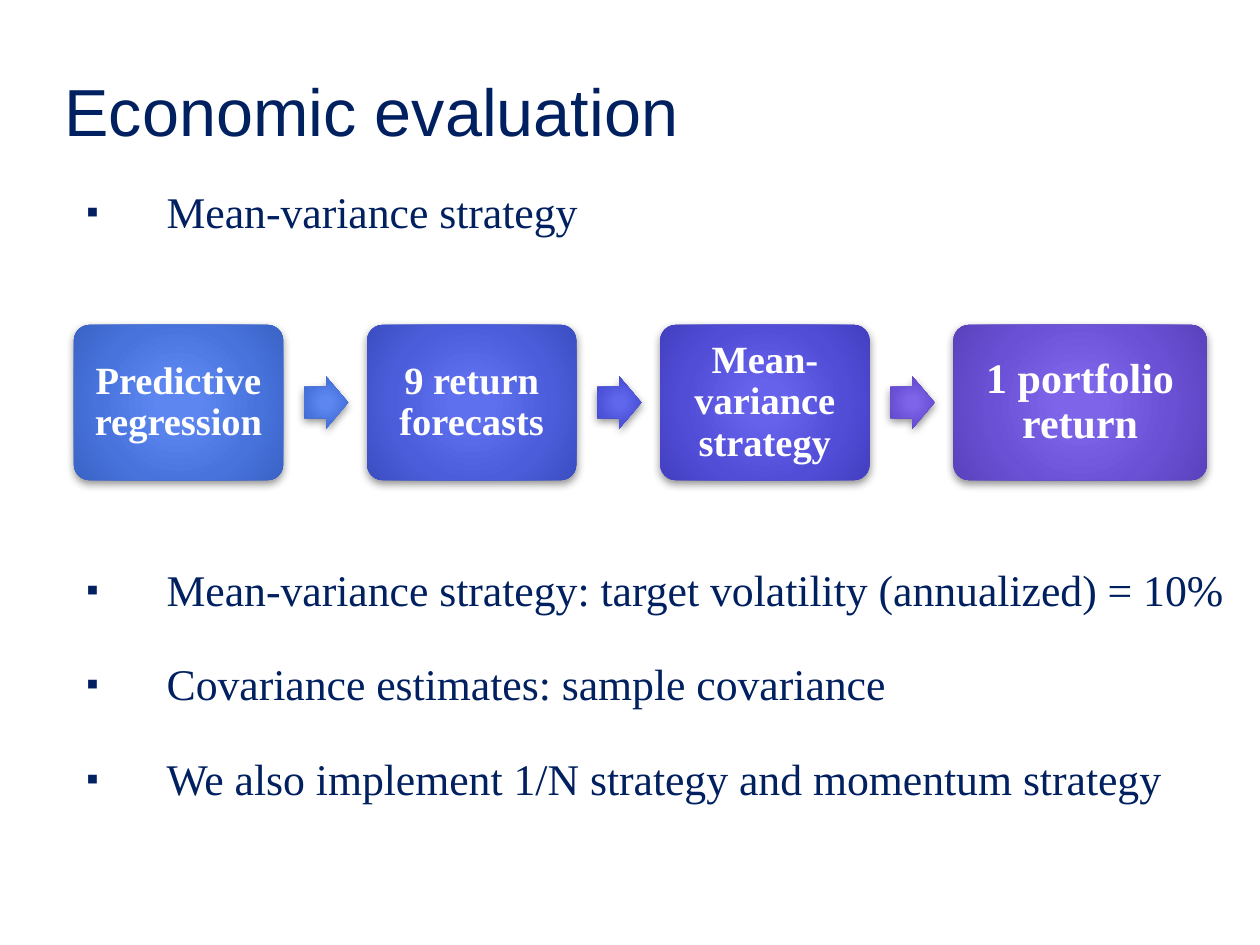
from pptx import Presentation
from pptx.dml.color import RGBColor
from pptx.enum.shapes import MSO_SHAPE as Preset
from pptx.enum.text import MSO_ANCHOR as Anchor, PP_ALIGN as Align
from pptx.oxml import parse_xml
from pptx.oxml.ns import nsdecls
from pptx.util import Cm, Pt

NAVY = "002060"
SERIF = "Times New Roman"
STOPS = (0, 15, 62, 97, 100)

BLUE = ("5D86F2", "5D86F1", "4873DC", "3B64C7", "3460C6")
INDIGO = ("6071EF", "5F70EE", "4B5DDA", "3D4FC4", "374AC4")
DEEP_INDIGO = ("6167EE", "6067ED", "4C53D8", "3F45C3", "383FC2")
VIOLET = ("6662EC", "6662EB", "524DD7", "4440C2", "3E39C1")
PURPLE = ("7D65E9", "7D64E8", "6950D4", "5B43BF", "563CBE")

STEPS = [
    ("Predictive regression", BLUE, 4.22, 22),
    ("9 return forecasts", INDIGO, 4.22, 22),
    ("Mean-variance strategy", VIOLET, 4.22, 22),
    ("1 portfolio return", PURPLE, 5.11, 24),
]
ARROW_PALETTES = [BLUE, DEEP_INDIGO, PURPLE]
STEP_LEFT, STEP_TOP, STEP_HEIGHT, STEP_PITCH = 1.49, 6.55, 3.13, 5.91

STRATEGY_BULLETS = ["Mean-variance strategy"]
DETAIL_BULLETS = [
    "Mean-variance strategy: target volatility (annualized) = 10%",
    "Covariance estimates: sample covariance",
    "We also implement 1/N strategy and momentum strategy",
]


def rgb(value):
    return RGBColor.from_string(value)


def write(paragraph, text, size, font=SERIF, color=NAVY, bold=False, align=Align.LEFT):
    paragraph.alignment = align
    run = paragraph.add_run()
    run.text = text
    run.font.name = font
    run.font.size = Pt(size)
    run.font.bold = bold
    run.font.color.rgb = rgb(color)


def add_text_frame(slide, left, top, width, height, anchor=Anchor.TOP):
    box = slide.shapes.add_textbox(Cm(left), Cm(top), Cm(width), Cm(height))
    frame = box.text_frame
    frame.word_wrap = True
    frame.vertical_anchor = anchor
    return frame


def add_bullet(paragraph):
    properties = paragraph._p.get_or_add_pPr()
    properties.set("marL", str(Cm(1.84)))
    properties.set("indent", str(Cm(-1.62)))
    namespace = nsdecls("a")
    for element in (
        f'<a:buClr {namespace}><a:srgbClr val="{NAVY}"/></a:buClr>',
        f'<a:buSzPct {namespace} val="80000"/>',
        f'<a:buFont {namespace} typeface="Arial"/>',
        f'<a:buChar {namespace} char="▪"/>',
    ):
        properties.append(parse_xml(element))


def add_bullet_list(slide, top, height, bullets):
    frame = add_text_frame(slide, 1.27, top, 24.1, height)
    for index, text in enumerate(bullets):
        paragraph = frame.add_paragraph() if index else frame.paragraphs[0]
        add_bullet(paragraph)
        paragraph.line_spacing = Pt(30)
        paragraph.space_before = Pt(24 if index else 0)
        write(paragraph, text, 25)


def fill_radial(shape, palette):
    stops = "".join(
        f'<a:gs pos="{position * 1000}"><a:srgbClr val="{color}"/></a:gs>'
        for position, color in zip(STOPS, palette)
    )
    gradient = parse_xml(
        f'<a:gradFill {nsdecls("a")} rotWithShape="1"><a:gsLst>{stops}</a:gsLst>'
        '<a:path path="circle"><a:fillToRect l="100000" t="100000" r="100000" b="100000"/>'
        "</a:path></a:gradFill>"
    )
    shape.fill.background()
    properties = shape._element.spPr
    properties.replace(properties.find("{*}noFill"), gradient)


def add_shadow(shape):
    shape.shadow.inherit = False
    shape._element.spPr.find("{*}effectLst").append(parse_xml(
        f'<a:outerShdw {nsdecls("a")} blurRad="{Pt(5)}" dist="{Pt(2)}" dir="5400000" '
        'rotWithShape="0"><a:srgbClr val="000000"><a:alpha val="43000"/></a:srgbClr>'
        "</a:outerShdw>"
    ))


def add_glossy_shape(slide, preset, left, top, width, height, palette, adjustments):
    shape = slide.shapes.add_shape(preset, Cm(left), Cm(top), Cm(width), Cm(height))
    for index, value in enumerate(adjustments):
        shape.adjustments[index] = value
    fill_radial(shape, palette)
    shape.line.fill.background()
    add_shadow(shape)
    return shape


def add_step(slide, left, text, palette, width, size):
    shape = add_glossy_shape(slide, Preset.ROUNDED_RECTANGLE, left, STEP_TOP,
                             width, STEP_HEIGHT, palette, [0.1])
    frame = shape.text_frame
    frame.word_wrap = True
    frame.vertical_anchor = Anchor.MIDDLE
    frame.margin_left = frame.margin_right = Cm(0.15)
    frame.margin_top = frame.margin_bottom = Cm(0.15)
    paragraph = frame.paragraphs[0]
    paragraph.line_spacing = 0.9
    write(paragraph, text, size, color="FFFFFF", bold=True, align=Align.CENTER)


def add_process(slide):
    for index, (text, palette, width, size) in enumerate(STEPS):
        left = STEP_LEFT + index * STEP_PITCH
        add_step(slide, left, text, palette, width, size)
        if index < len(ARROW_PALETTES):
            add_glossy_shape(slide, Preset.RIGHT_ARROW, left + 4.64, 7.59, 0.89, 1.05,
                             ARROW_PALETTES[index], [0.6, 0.5])


def main():
    presentation = Presentation()
    presentation.slide_width = Cm(25.4)
    presentation.slide_height = Cm(19.05)
    slide = presentation.slides.add_slide(presentation.slide_layouts[6])
    title = add_text_frame(slide, 1.05, 1, 22.25, 2.42, Anchor.MIDDLE)
    write(title.paragraphs[0], "Economic evaluation", 38, font="Arial")
    add_bullet_list(slide, 3.6, 1.4, STRATEGY_BULLETS)
    add_process(slide)
    add_bullet_list(slide, 11.22, 5.2, DETAIL_BULLETS)
    presentation.save("out.pptx")


if __name__ == "__main__":
    main()
